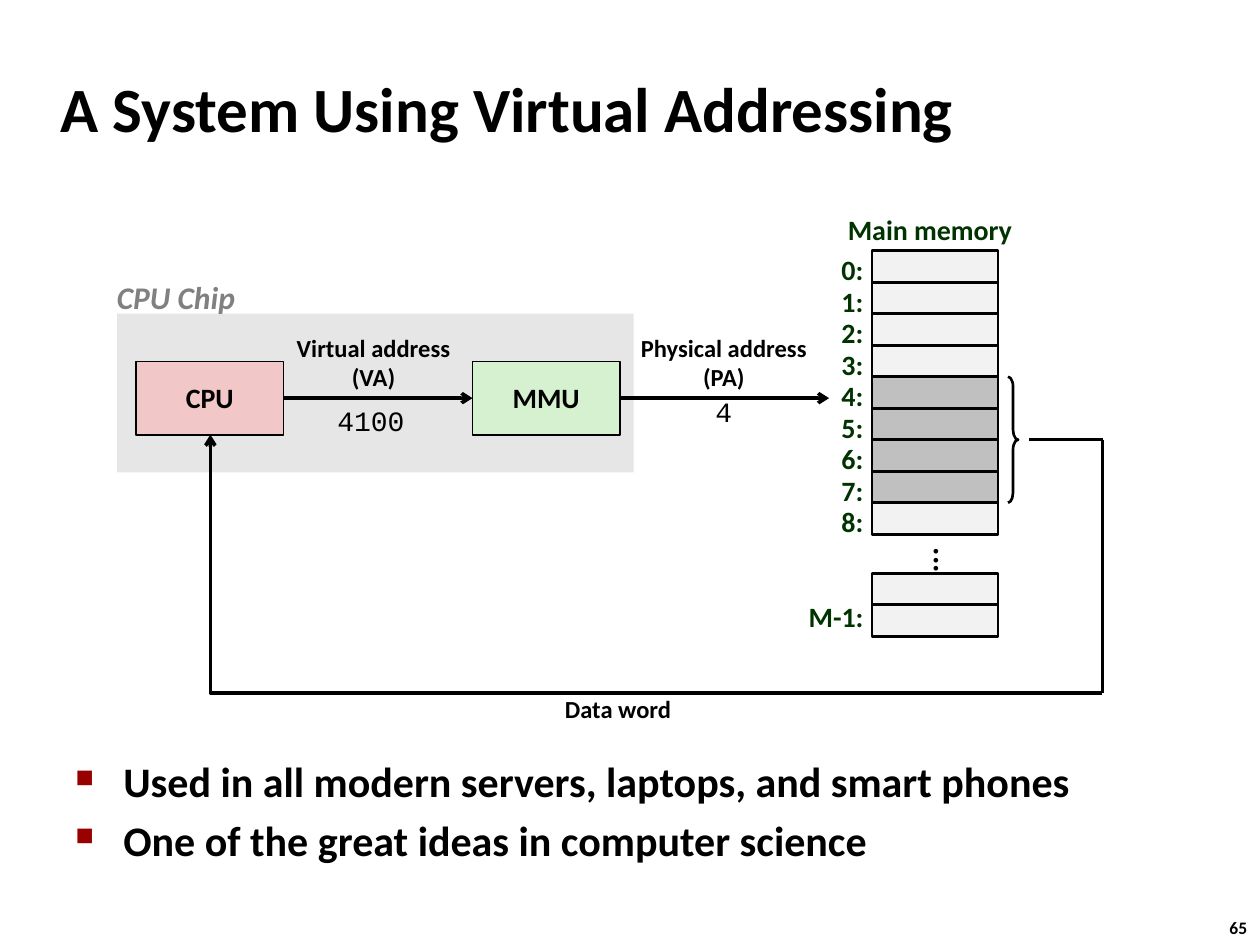
from lxml.etree import SubElement
from pptx import Presentation
from pptx.dml.color import RGBColor
from pptx.enum.shapes import MSO_CONNECTOR, MSO_SHAPE
from pptx.enum.text import MSO_ANCHOR, MSO_AUTO_SIZE, PP_ALIGN
from pptx.oxml.ns import qn
from pptx.util import Inches, Pt

BLACK = RGBColor(0x00, 0x00, 0x00)
GRAY = RGBColor(0x80, 0x80, 0x80)
CHIP_GRAY = RGBColor(0xE6, 0xE6, 0xE6)
CELL_LIGHT = RGBColor(0xF2, 0xF2, 0xF2)
CELL_DARK = RGBColor(0xC0, 0xC0, 0xC0)
DARK_GREEN = RGBColor(0x00, 0x33, 0x00)
CPU_PINK = RGBColor(0xF1, 0xC7, 0xC7)
MMU_GREEN = RGBColor(0xD5, 0xF1, 0xCF)
BULLET_RED = RGBColor(0x99, 0x00, 0x00)


def write_text(text_frame, text, size=16, font="Calibri", color=BLACK, bold=True,
               italic=False, align=PP_ALIGN.LEFT, anchor=MSO_ANCHOR.TOP,
               line_spacing=None, space_before=None, bullet=None, wrap=False):
    text_frame.word_wrap = wrap
    text_frame.vertical_anchor = anchor
    for index, line in enumerate(text.split("\n")):
        paragraph = text_frame.paragraphs[0] if index == 0 else text_frame.add_paragraph()
        if bullet:
            add_bullet(paragraph, bullet)
        paragraph.alignment = align
        paragraph.line_spacing = line_spacing
        if index and space_before:
            paragraph.space_before = Pt(space_before)
        run = paragraph.add_run()
        run.text = line
        run.font.name = font
        run.font.size = Pt(size)
        run.font.bold = bold
        run.font.italic = italic
        run.font.color.rgb = color


def add_bullet(paragraph, character):
    properties = paragraph._p.get_or_add_pPr()
    properties.set("marL", str(Inches(0.38)))
    properties.set("indent", str(-Inches(0.38)))
    color = SubElement(properties, qn("a:buClr"))
    SubElement(color, qn("a:srgbClr"), val=str(BULLET_RED))
    SubElement(properties, qn("a:buSzPct"), val="60000")
    SubElement(properties, qn("a:buChar"), char=character)


class SlideBuilder:
    def __init__(self, presentation, line_color=BLACK):
        self.slide = presentation.slides.add_slide(presentation.slide_layouts[5])
        self.line_color = line_color

    def title(self, text, left, top, width, height):
        title = self.slide.shapes.title
        title.left, title.top = Inches(left), Inches(top)
        title.width, title.height = Inches(width), Inches(height)
        title.text_frame.auto_size = MSO_AUTO_SIZE.NONE
        write_text(title.text_frame, text, size=36, anchor=MSO_ANCHOR.MIDDLE, wrap=True)

    def text(self, text, left, top, width, height, **text_format):
        box = self.slide.shapes.add_textbox(
            Inches(left), Inches(top), Inches(width), Inches(height))
        write_text(box.text_frame, text, **text_format)
        return box

    def caption(self, text, left, top, width, height, size=14):
        return self.text(text, left, top, width, height, size=size, align=PP_ALIGN.CENTER,
                         anchor=MSO_ANCHOR.MIDDLE, line_spacing=0.98)

    def shape(self, kind, left, top, width, height, fill=None, line_width=None, text=None):
        shape = self.slide.shapes.add_shape(
            kind, Inches(left), Inches(top), Inches(width), Inches(height))
        shape.shadow.inherit = False
        if fill is None:
            shape.fill.background()
        else:
            shape.fill.solid()
            shape.fill.fore_color.rgb = fill
        if line_width is None:
            shape.line.fill.background()
        else:
            shape.line.color.rgb = self.line_color
            shape.line.width = Pt(line_width)
        if text:
            write_text(shape.text_frame, text, align=PP_ALIGN.CENTER,
                       anchor=MSO_ANCHOR.MIDDLE, line_spacing=0.98)
        return shape

    def connector(self, start, end, arrow=False, kind=MSO_CONNECTOR.STRAIGHT):
        points = [Inches(value) for value in (*start, *end)]
        connector = self.slide.shapes.add_connector(kind, *points)
        connector.line.color.rgb = self.line_color
        connector.line.width = Pt(2)
        if arrow:
            SubElement(connector.line._get_or_add_ln(), qn("a:tailEnd"), type="arrow")
        SubElement(connector._element.spPr, qn("a:effectLst"))
        return connector

    def corner_arrow(self, start, end):
        connector = self.connector(start, end, arrow=True, kind=MSO_CONNECTOR.ELBOW)
        connector._element.spPr.find(qn("a:prstGeom")).set("prst", "bentConnector2")
        return connector


def draw_memory(builder):
    left, top, width, row = 6.92, 1.99, 1, 0.25
    label_format = {"color": DARK_GREEN, "line_spacing": 0.88}
    builder.text("Main memory", 6.62, 1.67, 1.52, 0.33, align=PP_ALIGN.CENTER, **label_format)
    for address in range(9):
        cell_top = top + address * row
        fill = CELL_DARK if 4 <= address <= 7 else CELL_LIGHT
        builder.shape(MSO_SHAPE.RECTANGLE, left, cell_top, width, row, fill, 1.5)
        builder.text(f"{address}:", 6.58, cell_top, 0.37, 0.33, **label_format)
    for cell_top in (4.55, 4.8):
        builder.shape(MSO_SHAPE.RECTANGLE, left, cell_top, width, row, CELL_LIGHT, 1.5)
    builder.text("M-1:", 6.32, 4.74, 0.64, 0.33, **label_format)
    dots = builder.caption("...", 7, 4.25, 1, 0.25, size=18)
    dots.text_frame._txBody.bodyPr.set("vert", "eaVert")
    brace = builder.shape(MSO_SHAPE.RIGHT_BRACE, 8, top + 4 * row, 0.08, 4 * row, line_width=1.5)
    brace.adjustments[0] = 1
    brace.adjustments[1] = 0.5


def draw_processor(builder):
    builder.shape(MSO_SHAPE.RECTANGLE, 0.93, 2.49, 4.1, 1.26, CHIP_GRAY)
    builder.text("CPU Chip", 0.83, 2.16, 1.16, 0.4, size=18, color=GRAY, italic=True)
    cpu = builder.shape(MSO_SHAPE.RECTANGLE, 1.08, 2.87, 1.17, 0.58, CPU_PINK, 1, "CPU")
    mmu = builder.shape(MSO_SHAPE.RECTANGLE, 3.75, 2.87, 1.17, 0.58, MMU_GREEN, 1, "MMU")
    virtual_arrow = builder.connector((2.25, 3.16), (3.75, 3.16), arrow=True)
    virtual_arrow.begin_connect(cpu, 3)
    virtual_arrow.end_connect(mmu, 1)
    physical_arrow = builder.connector((4.92, 3.16), (6.58, 3.16), arrow=True)
    physical_arrow.begin_connect(mmu, 3)
    builder.caption("Virtual address\n(VA)", 2.25, 2.6, 1.43, 0.57)
    builder.caption("Physical address\n(PA)", 4.98, 2.6, 1.53, 0.57)
    builder.text("4100", 2.58, 3.15, 0.74, 0.37, font="Courier New", bold=False)
    builder.text("4", 5.58, 3.08, 0.34, 0.37, font="Courier New", bold=False)


def draw_data_path(builder):
    builder.connector((8.17, 3.49), (8.75, 3.49))
    builder.connector((8.75, 3.49), (8.75, 5.5))
    builder.corner_arrow((8.75, 5.5), (1.67, 3.45))
    builder.caption("Data word", 4.38, 5.47, 1.05, 0.33)


def main():
    presentation = Presentation()
    presentation.slide_width = Inches(10)
    presentation.slide_height = Inches(7.5)
    builder = SlideBuilder(presentation)
    builder.title("A System Using Virtual Addressing", 0.38, 0.42, 9.53, 0.86)
    draw_processor(builder)
    draw_memory(builder)
    draw_data_path(builder)
    builder.text("Used in all modern servers, laptops, and smart phones\n"
                 "One of the great ideas in computer science",
                 0.5, 5.95, 9.09, 1.38, size=24, space_before=4.8, bullet="■", wrap=True)
    builder.text("65", 9.66, 7.23, 0.37, 0.27, size=10)
    presentation.save("out.pptx")


if __name__ == "__main__":
    main()
